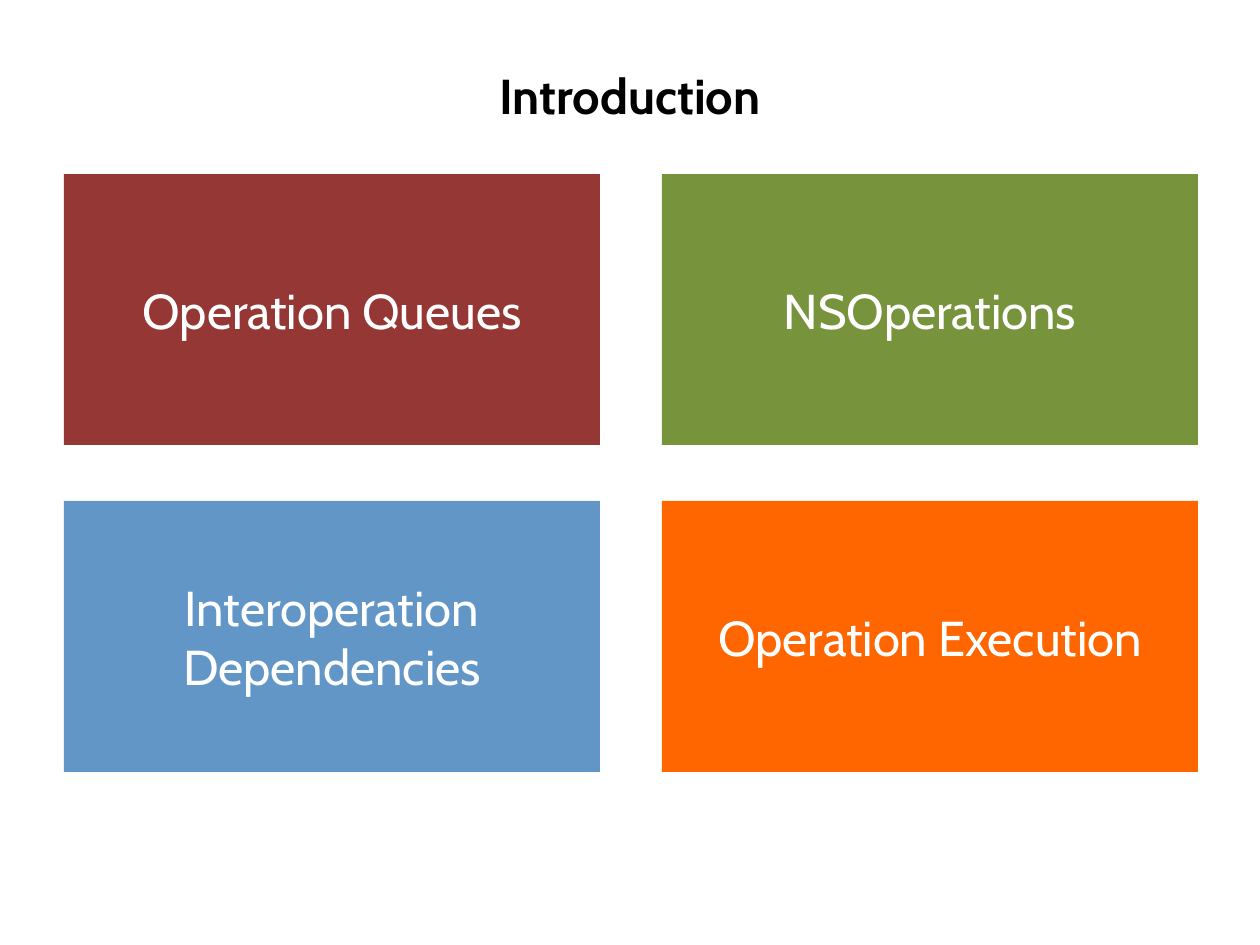
from pptx import Presentation
from pptx.dml.color import RGBColor
from pptx.enum.shapes import MSO_SHAPE as Shape
from pptx.enum.text import MSO_ANCHOR as Anchor, PP_ALIGN as Align
from pptx.util import Emu, Pt

PIXEL = 914400 // 126
TILES = [
    ("Operation Queues", "953735"),
    ("NSOperations", "77933C"),
    ("Interoperation Dependencies", "6296C7"),
    ("Operation Execution", "FF6600"),
]


def px(length):
    return Emu(length * PIXEL)


def color(value):
    return RGBColor.from_string(value)


def write(shape, text, text_color, bold=False):
    frame = shape.text_frame
    frame.word_wrap = True
    frame.vertical_anchor = Anchor.MIDDLE
    para = frame.paragraphs[0]
    para.text = text
    para.alignment = Align.CENTER
    para.font.name = "Cabin"
    para.font.size = Pt(28)
    para.font.bold = bold
    para.font.color.rgb = color(text_color)


def add_title(page, box, text):
    title = page.shapes.add_textbox(*map(px, box))
    write(title, text, "000000", bold=True)


def add_tile(page, box, text, fill):
    tile = page.shapes.add_shape(Shape.RECTANGLE, *map(px, box))
    tile.shadow.inherit = False
    tile.fill.solid()
    tile.fill.fore_color.rgb = color(fill)
    tile.line.fill.background()
    write(tile, text, "FFFFFF")


def add_tile_grid(page, box, tiles, columns=2, gap_x=62, gap_y=56):
    left, top, width, height = box
    rows = len(tiles) // columns
    tile_width = (width - gap_x * (columns - 1)) // columns
    tile_height = (height - gap_y * (rows - 1)) // rows
    for index, (text, fill) in enumerate(tiles):
        row, column = divmod(index, columns)
        x = left + column * (tile_width + gap_x)
        y = top + row * (tile_height + gap_y)
        add_tile(page, (x, y, tile_width, tile_height), text, fill)


deck = Presentation()
deck.slide_width, deck.slide_height = px(1260), px(945)
page = deck.slides.add_slide(deck.slide_layouts[6])

# Heading
add_title(page, (63, 42, 1134, 105), "Introduction")

# Four topics
add_tile_grid(page, (64, 174, 1134, 598), TILES)

deck.save("out.pptx")
